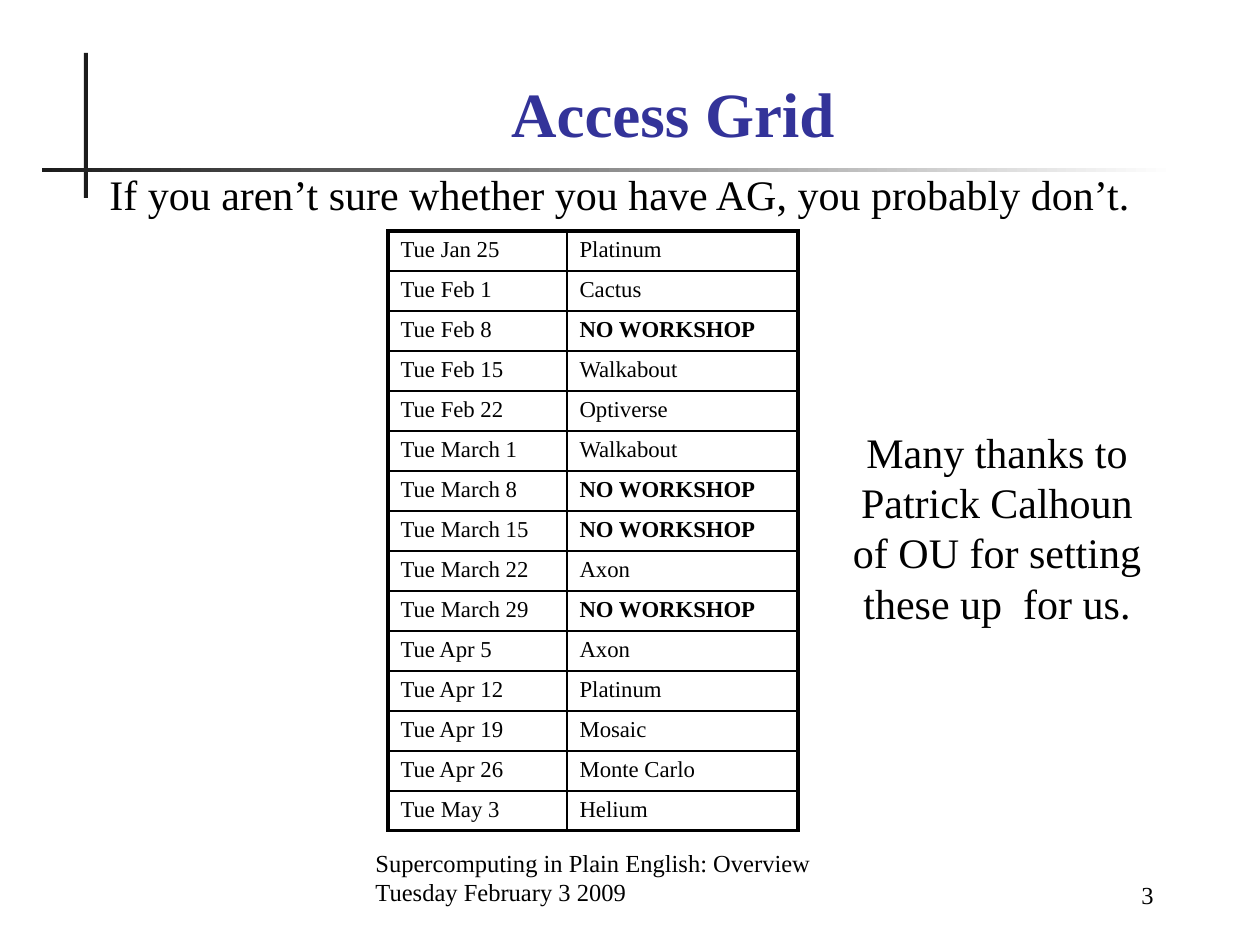
from dataclasses import dataclass

from lxml.etree import SubElement
from pptx import Presentation
from pptx.dml.color import RGBColor
from pptx.enum.shapes import MSO_SHAPE
from pptx.enum.text import MSO_ANCHOR, PP_ALIGN
from pptx.oxml.ns import qn
from pptx.util import Emu, Pt


@dataclass(frozen=True)
class Theme:
    font: str = "Times New Roman"
    ink: str = "000000"
    rule: str = "1C1C1C"
    paper: str = "FFFFFF"
    heading: str = "333399"
    title_size: int = 36
    body_size: int = 24
    footer_size: int = 14
    table_size: int = 13
    outer_line: float = 2.25
    inner_line: float = 1


@dataclass(frozen=True)
class Box:
    x: int
    y: int
    w: int
    h: int

    def emu(self) -> tuple[Emu, ...]:
        return tuple(px(n) for n in (self.x, self.y, self.w, self.h))


@dataclass(frozen=True)
class Session:
    date: str
    venue: str


THEME = Theme()
PX_PER_INCH = 126
NO_WORKSHOP = "NO WORKSHOP"
COLUMN_WIDTHS = (179, 231)
ROW_HEIGHT = 37
SESSIONS = (
    Session("Tue Jan 25", "Platinum"),
    Session("Tue Feb 1", "Cactus"),
    Session("Tue Feb 8", NO_WORKSHOP),
    Session("Tue Feb 15", "Walkabout"),
    Session("Tue Feb 22", "Optiverse"),
    Session("Tue March 1", "Walkabout"),
    Session("Tue March 8", NO_WORKSHOP),
    Session("Tue March 15", NO_WORKSHOP),
    Session("Tue March 22", "Axon"),
    Session("Tue March 29", NO_WORKSHOP),
    Session("Tue Apr 5", "Axon"),
    Session("Tue Apr 12", "Platinum"),
    Session("Tue Apr 19", "Mosaic"),
    Session("Tue Apr 26", "Monte Carlo"),
    Session("Tue May 3", "Helium"),
)


def px(n: int) -> Emu:
    return Emu(round(n * 914400 / PX_PER_INCH))


def write(tf, text: str, *, size: int, color: str = THEME.ink, bold: bool = False,
          align=PP_ALIGN.LEFT, line_spacing: float | None = None) -> None:
    for i, line in enumerate(text.split("\n")):
        p = tf.add_paragraph() if i else tf.paragraphs[0]
        p.alignment = align
        if line_spacing:
            p.line_spacing = line_spacing
        r = p.add_run()
        r.text = line
        r.font.name = THEME.font
        r.font.size = Pt(size)
        r.font.bold = bold
        r.font.color.rgb = RGBColor.from_string(color)


def add_text(s, box: Box, text: str, *, anchor=MSO_ANCHOR.TOP, **fmt) -> None:
    tf = s.shapes.add_textbox(*box.emu()).text_frame
    tf.word_wrap = True
    tf.vertical_anchor = anchor
    write(tf, text, **fmt)


def add_bar(s, box: Box, fade_to: str | None = None) -> None:
    sp = s.shapes.add_shape(MSO_SHAPE.RECTANGLE, *box.emu())
    sp.shadow.inherit = False
    sp.line.fill.background()
    if fade_to:
        sp.fill.gradient()
        sp.fill.gradient_angle = 0
        for stop, color in zip(sp.fill.gradient_stops, (THEME.rule, fade_to)):
            stop.color.rgb = RGBColor.from_string(color)
    else:
        sp.fill.solid()
        sp.fill.fore_color.rgb = RGBColor.from_string(THEME.rule)


def set_borders(cell, outer: dict[str, bool]) -> None:
    tc_pr = cell._tc.get_or_add_tcPr()
    for side, is_outer in outer.items():
        width = THEME.outer_line if is_outer else THEME.inner_line
        ln = SubElement(tc_pr, qn(f"a:ln{side}"), w=str(Pt(width)))
        fill = SubElement(ln, qn("a:solidFill"))
        SubElement(fill, qn("a:srgbClr"), val=THEME.ink)


def add_schedule(s, x: int, y: int, sessions: tuple[Session, ...]) -> None:
    rows, cols = len(sessions), len(COLUMN_WIDTHS)
    box = Box(x, y, sum(COLUMN_WIDTHS), rows * ROW_HEIGHT)
    table = s.shapes.add_table(rows, cols, *box.emu()).table
    table.first_row = table.horz_banding = False
    for col, width in zip(table.columns, COLUMN_WIDTHS):
        col.width = px(width)
    for i, session in enumerate(sessions):
        table.rows[i].height = px(ROW_HEIGHT)
        for j, text in enumerate((session.date, session.venue)):
            cell = table.cell(i, j)
            write(cell.text_frame, text, size=THEME.table_size, bold=text == NO_WORKSHOP)
            set_borders(cell, {"L": j == 0, "R": j == cols - 1,
                               "T": i == 0, "B": i == rows - 1})
            cell.fill.background()


def main() -> None:
    prs = Presentation()
    prs.slide_width, prs.slide_height = px(1260), px(945)
    s = prs.slides.add_slide(prs.slide_layouts[6])

    add_bar(s, Box(84, 53, 4, 145))
    add_bar(s, Box(42, 168, 1134, 4), fade_to=THEME.paper)
    add_text(s, Box(363, 850, 551, 63),
             "Supercomputing in Plain English: Overview\nTuesday February 3 2009",
             size=THEME.footer_size, anchor=MSO_ANCHOR.BOTTOM)
    add_text(s, Box(987, 853, 179, 63), "3", size=THEME.footer_size,
             align=PP_ALIGN.RIGHT, anchor=MSO_ANCHOR.BOTTOM)
    add_text(s, Box(136, 63, 1074, 93), "Access Grid", size=THEME.title_size,
             color=THEME.heading, bold=True, align=PP_ALIGN.CENTER,
             anchor=MSO_ANCHOR.BOTTOM)
    add_text(s, Box(84, 168, 1071, 640),
             "If you aren’t sure whether you have AG, you probably don’t.",
             size=THEME.body_size, align=PP_ALIGN.CENTER, line_spacing=0.9)
    add_schedule(s, 388, 231, SESSIONS)
    add_text(s, Box(829, 420, 336, 217),
             "Many thanks to Patrick Calhoun of OU for setting these up  for us.",
             size=THEME.body_size, align=PP_ALIGN.CENTER)

    prs.save("out.pptx")


if __name__ == "__main__":
    main()
